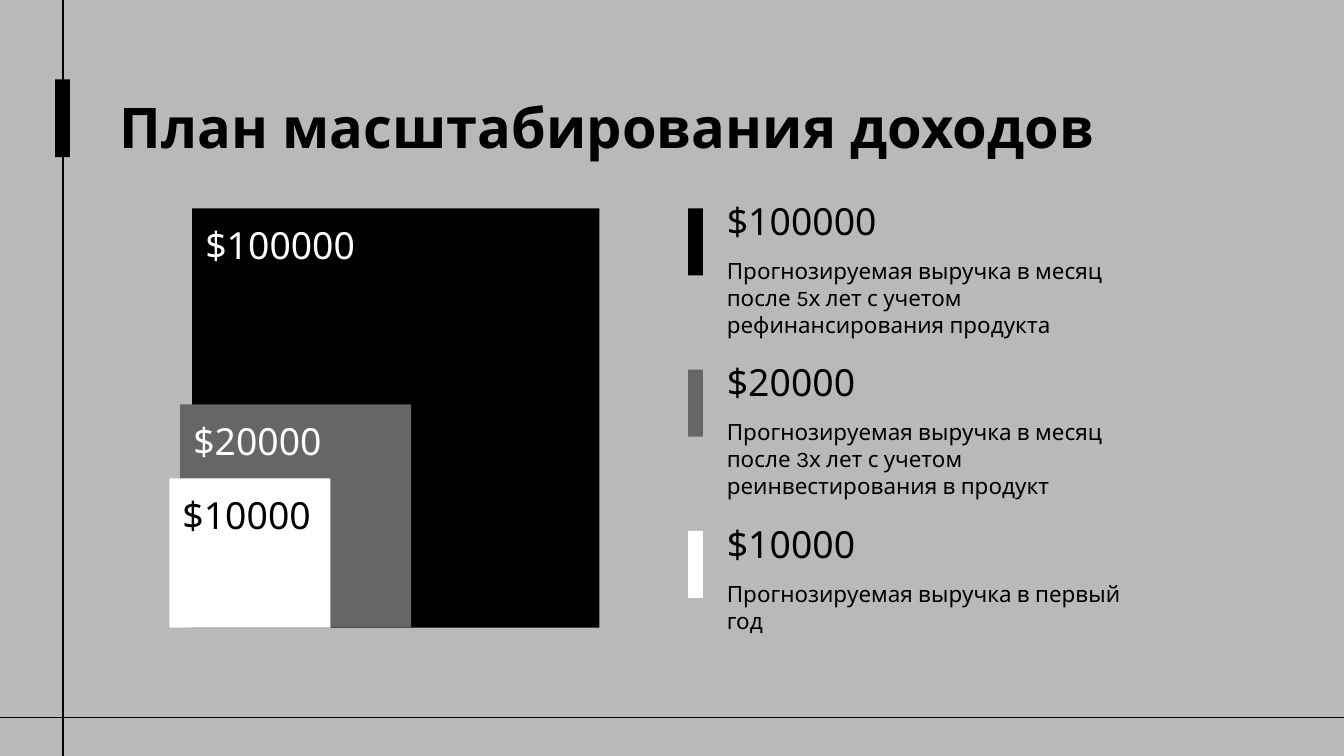
from dataclasses import dataclass

from lxml.etree import SubElement
from pptx import Presentation
from pptx.dml.color import RGBColor
from pptx.enum.shapes import MSO_CONNECTOR, MSO_SHAPE
from pptx.enum.text import MSO_ANCHOR, PP_ALIGN
from pptx.oxml.ns import qn
from pptx.slide import Slide
from pptx.util import Inches, Pt

# The grid has square cells: 100 columns over the slide's width.
CELL = Inches(10) // 100
COLUMNS, ROWS = 100, 56.25


@dataclass(frozen=True)
class Theme:
    background: str = "B9B9B9"
    black: str = "000000"
    grey: str = "666666"
    white: str = "FFFFFF"
    heading_font: str = "Noto Sans"
    body_font: str = "Karla"
    title_size: int = 30
    amount_size: int = 20
    body_size: int = 12
    line_width: float = 0.75


@dataclass(frozen=True)
class Area:
    """A rectangle in grid cells."""
    column: float
    row: float
    columns: float
    rows: float

    def lengths(self) -> list[int]:
        return [round(cells * CELL)
                for cells in (self.column, self.row, self.columns, self.rows)]


@dataclass(frozen=True)
class TextStyle:
    font: str
    size: int
    color: str
    bold: bool = False


@dataclass(frozen=True)
class Stage:
    """One income target: its nested block and its legend entry."""
    amount: str
    forecast: str
    fill: str
    label_color: str
    block_column: float
    block_columns: float
    block_rows: float


THEME = Theme()
TITLE = TextStyle(THEME.heading_font, THEME.title_size, THEME.black, True)
AMOUNT = TextStyle(THEME.heading_font, THEME.amount_size, THEME.black)
BODY = TextStyle(THEME.body_font, THEME.body_size, THEME.black)

STAGES = [
    Stage("$100000",
          "Прогнозируемая выручка в месяц после 5х лет с учетом рефинансирования продукта",
          THEME.black, THEME.white, 14.3, 30.3, 31.2),
    Stage("$20000",
          "Прогнозируемая выручка в месяц после 3х лет с учетом реинвестирования в продукт",
          THEME.grey, THEME.white, 13.4, 17.2, 16.6),
    Stage("$10000", "Прогнозируемая выручка в первый год",
          THEME.white, THEME.black, 12.6, 12, 11.1),
]
BLOCK_BOTTOM = 46.7
LEGEND_TOP, LEGEND_STEP = 15.5, 12
MARKER_COLUMN, LEGEND_COLUMN, LEGEND_COLUMNS = 51.2, 53.1, 33.5
MARKER_WIDTH = 1.1


def write(shape, text: str, style: TextStyle, anchor: MSO_ANCHOR) -> None:
    frame = shape.text_frame
    frame.word_wrap = True
    frame.vertical_anchor = anchor
    frame.margin_left = frame.margin_right = CELL
    frame.margin_top = frame.margin_bottom = CELL
    para = frame.paragraphs[0]
    para.text = text
    para.alignment = PP_ALIGN.LEFT
    para.font.name = style.font
    para.font.size = Pt(style.size)
    para.font.bold = style.bold
    para.font.color.rgb = RGBColor.from_string(style.color)


def add_text(slide: Slide, area: Area, text: str, style: TextStyle,
             anchor: MSO_ANCHOR = MSO_ANCHOR.TOP) -> None:
    write(slide.shapes.add_textbox(*area.lengths()), text, style, anchor)


def add_block(slide: Slide, area: Area, fill: str):
    block = slide.shapes.add_shape(MSO_SHAPE.RECTANGLE, *area.lengths())
    block.shadow.inherit = False
    block.fill.solid()
    block.fill.fore_color.rgb = RGBColor.from_string(fill)
    block.line.fill.background()
    return block


def add_rule(slide: Slide, area: Area) -> None:
    left, top, width, height = area.lengths()
    rule = slide.shapes.add_connector(
        MSO_CONNECTOR.STRAIGHT, left, top, left + width, top + height)
    rule.line.color.rgb = RGBColor.from_string(THEME.black)
    rule.line.width = Pt(THEME.line_width)
    SubElement(rule.element.spPr, qn("a:effectLst"))


def add_stage_block(slide: Slide, stage: Stage) -> None:
    area = Area(stage.block_column, BLOCK_BOTTOM - stage.block_rows,
                stage.block_columns, stage.block_rows)
    label = TextStyle(AMOUNT.font, AMOUNT.size, stage.label_color)
    write(add_block(slide, area, stage.fill), stage.amount, label, MSO_ANCHOR.TOP)


def add_legend_entry(slide: Slide, stage: Stage, top: float) -> None:
    add_block(slide, Area(MARKER_COLUMN, top, MARKER_WIDTH, 5), stage.fill)
    add_text(slide, Area(LEGEND_COLUMN, top - 0.4, LEGEND_COLUMNS, 4),
             stage.amount, AMOUNT, MSO_ANCHOR.BOTTOM)
    add_text(slide, Area(LEGEND_COLUMN, top + 2.65, LEGEND_COLUMNS, 7.6),
             stage.forecast, BODY)


def main() -> None:
    deck = Presentation()
    deck.slide_width = COLUMNS * CELL
    deck.slide_height = round(ROWS * CELL)
    slide = deck.slides.add_slide(deck.slide_layouts[6])
    slide.background.fill.solid()
    slide.background.fill.fore_color.rgb = RGBColor.from_string(THEME.background)

    add_block(slide, Area(4.1, 5.9, MARKER_WIDTH, 5.8), THEME.black)
    add_rule(slide, Area(0, 53.4, COLUMNS, 0))
    add_rule(slide, Area(4.7, 0, 0, ROWS))
    add_text(slide, Area(7.9, 5.9, 84.2, 6.3), "План масштабирования доходов", TITLE)

    for index, stage in enumerate(STAGES):
        add_stage_block(slide, stage)
        add_legend_entry(slide, stage, LEGEND_TOP + index * LEGEND_STEP)
    deck.save("out.pptx")


if __name__ == "__main__":
    main()
